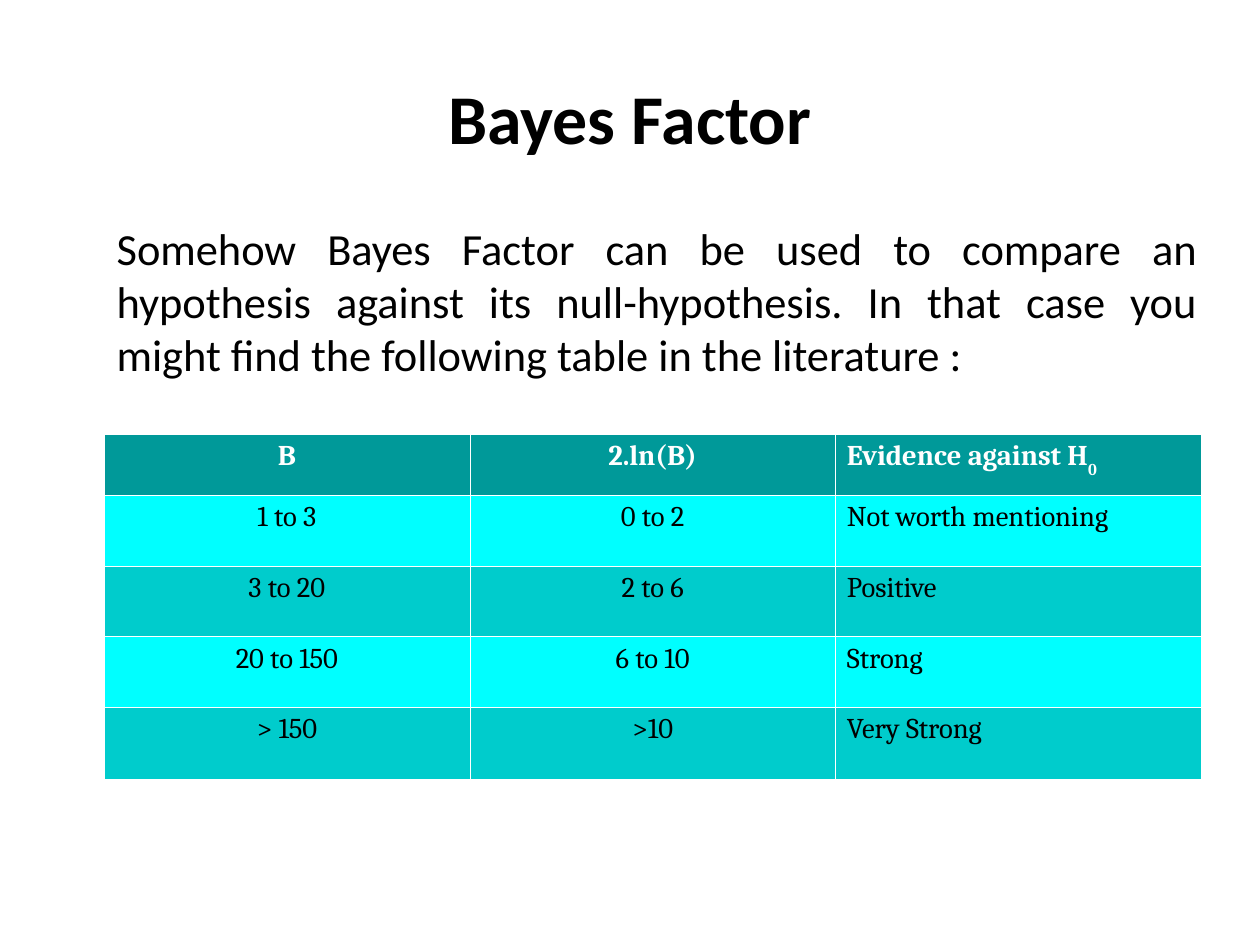
"""Build the Bayes Factor slide with its evidence table."""
from lxml import etree
from pptx import Presentation
from pptx.dml.color import RGBColor
from pptx.enum.text import MSO_ANCHOR, PP_ALIGN
from pptx.oxml.ns import qn
from pptx.util import Inches, Pt

CENTER, JUSTIFY, LEFT = PP_ALIGN.CENTER, PP_ALIGN.JUSTIFY, PP_ALIGN.LEFT
TOP, MIDDLE = MSO_ANCHOR.TOP, MSO_ANCHOR.MIDDLE
BLACK, WHITE = "000000", "FFFFFF"
HEADER_FILL, LIGHT_FILL, DARK_FILL = "009999", "00FFFF", "00CCCC"
CM_PER_INCH = 2.54


def color(hex_string):
    return RGBColor.from_string(hex_string)


def style(paragraph, font_name, size, hex_string, bold, alignment):
    paragraph.alignment = alignment
    for run in paragraph.runs:
        run.font.name = font_name
        run.font.size = Pt(size)
        run.font.bold = bold
        run.font.color.rgb = color(hex_string)


prs = Presentation()
prs.slide_width = Inches(28 / CM_PER_INCH)
prs.slide_height = Inches(21 / CM_PER_INCH)
slide = prs.slides.add_slide(prs.slide_layouts[6])

INTRO = ("Somehow Bayes Factor can be used to compare an hypothesis against its "
         "null-hypothesis. In that case you might find the following table in the literature :")
texts = [
    ("Bayes Factor", 0.55, 0.33, 9.92, 1.38, 44, True, CENTER, MIDDLE),
    (INTRO, 1.02, 1.93, 9.45, 1.45, 28, False, JUSTIFY, TOP),
]
for words, left, top, width, height, size, bold, alignment, anchor in texts:
    frame = slide.shapes.add_textbox(
        Inches(left), Inches(top), Inches(width), Inches(height)).text_frame
    frame.word_wrap = True
    frame.vertical_anchor = anchor
    frame.margin_left = frame.margin_right = frame.margin_top = frame.margin_bottom = 0
    frame.text = words
    style(frame.paragraphs[0], "Calibri", size, BLACK, bold, alignment)

evidence = [
    ("B", "2.ln(B)", "Evidence against H"),
    ("1 to 3", "0 to 2", "Not worth mentioning"),
    ("3 to 20", "2 to 6", "Positive"),
    ("20 to 150", "6 to 10", "Strong"),
    ("> 150", ">10", "Very Strong"),
]
table = slide.shapes.add_table(
    len(evidence), 3, Inches(0.91), Inches(3.8), Inches(9.6), Inches(3.03)).table
for column in table.columns:
    column.width = Inches(3.2)
for row, height in zip(table.rows, (0.53, 0.62, 0.62, 0.62, 0.63)):
    row.height = Inches(height)

for row_index, values in enumerate(evidence):
    is_header = row_index == 0
    fill = HEADER_FILL if is_header else LIGHT_FILL if row_index % 2 else DARK_FILL
    for column_index, value in enumerate(values):
        cell = table.cell(row_index, column_index)
        cell.text = value
        paragraph = cell.text_frame.paragraphs[0]
        if is_header and column_index == 2:
            subscript = paragraph.add_run()
            subscript.text = "0"
            subscript.font._element.set("baseline", "-33000")
        style(paragraph, "Cambria", 18, WHITE if is_header else BLACK, is_header,
              LEFT if column_index == 2 else CENTER)
        properties = cell._tc.get_or_add_tcPr()
        for side in ("a:lnL", "a:lnR", "a:lnT", "a:lnB"):
            border = etree.SubElement(properties, qn(side), w=str(Pt(0.06)))
            border_fill = etree.SubElement(border, qn("a:solidFill"))
            etree.SubElement(border_fill, qn("a:srgbClr"), val=WHITE)
        cell.fill.solid()
        cell.fill.fore_color.rgb = color(fill)

prs.save("out.pptx")
